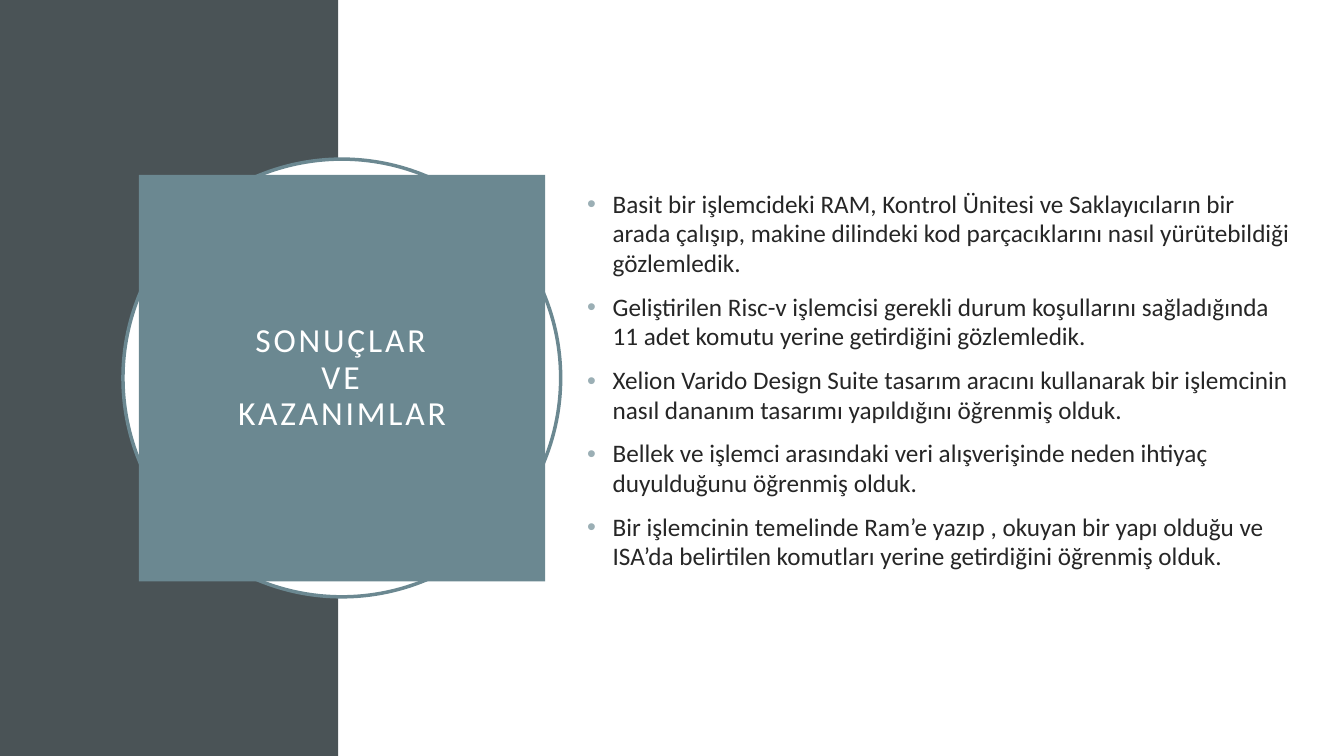
from dataclasses import dataclass
from typing import Optional

from lxml.etree import SubElement
from pptx import Presentation
from pptx.dml.color import RGBColor
from pptx.enum.shapes import MSO_SHAPE as Preset
from pptx.enum.text import MSO_ANCHOR as Anchor, PP_ALIGN as Align
from pptx.oxml.ns import qn
from pptx.shapes.autoshape import Shape
from pptx.slide import Slide
from pptx.util import Cm, Pt

SLATE = RGBColor(0x4A, 0x53, 0x56)
TEAL = RGBColor(0x6B, 0x88, 0x91)
BULLET_GREY = RGBColor(0x9B, 0xAF, 0xB5)
INK = RGBColor(0x26, 0x26, 0x26)
WHITE = RGBColor(0xFF, 0xFF, 0xFF)
FONT = "Calibri"

SLIDE_WIDTH, SLIDE_HEIGHT = 33.87, 19.05
BAND_WIDTH = 8.53
BULLET_INDENT = Cm(0.64)

TITLE = "SONUÇLAR\vVE\vKAZANIMLAR"
OUTCOMES = [
    "Basit bir işlemcideki RAM, Kontrol Ünitesi ve Saklayıcıların bir arada çalışıp, "
    "makine dilindeki kod parçacıklarını nasıl yürütebildiği gözlemledik.",
    "Geliştirilen Risc-v işlemcisi gerekli durum koşullarını sağladığında 11 adet "
    "komutu yerine getirdiğini gözlemledik.",
    "Xelion Varido Design Suite tasarım aracını kullanarak bir işlemcinin nasıl "
    "dananım tasarımı yapıldığını öğrenmiş olduk.",
    "Bellek ve işlemci arasındaki veri alışverişinde neden ihtiyaç duyulduğunu "
    "öğrenmiş olduk.",
    "Bir işlemcinin temelinde Ram’e yazıp , okuyan bir yapı olduğu ve ISA’da "
    "belirtilen komutları yerine getirdiğini öğrenmiş olduk.",
]


@dataclass(frozen=True)
class Panel:
    """A filled shape; lengths are in centimetres."""
    preset: Preset
    left: float
    top: float
    width: float
    height: float
    fill: RGBColor
    outline: Optional[RGBColor] = None


BACKDROP = [
    Panel(Preset.RECTANGLE, 0, 0, BAND_WIDTH, SLIDE_HEIGHT, SLATE),
    Panel(Preset.RECTANGLE, BAND_WIDTH, 0, SLIDE_WIDTH - BAND_WIDTH, SLIDE_HEIGHT, WHITE),
    Panel(Preset.OVAL, 3.1, 4.01, 11.03, 11.03, WHITE, TEAL),
]
TITLE_PANEL = Panel(Preset.RECTANGLE, 3.5, 4.41, 10.24, 10.24, TEAL)


def add_panel(slide: Slide, panel: Panel) -> Shape:
    shape = slide.shapes.add_shape(
        panel.preset, Cm(panel.left), Cm(panel.top), Cm(panel.width), Cm(panel.height))
    shape.shadow.inherit = False
    shape.fill.solid()
    shape.fill.fore_color.rgb = panel.fill
    if panel.outline is None:
        shape.line.fill.background()
    else:
        shape.line.color.rgb = panel.outline
        shape.line.width = Pt(2.5)
    return shape


def style_font(paragraph, size: int, color: RGBColor) -> None:
    font = paragraph.font
    font.name, font.size = FONT, Pt(size)
    font.color.rgb = color


def add_bullet(paragraph) -> None:
    properties = paragraph._p.get_or_add_pPr()
    properties.set("marL", str(BULLET_INDENT))
    properties.set("indent", str(-BULLET_INDENT))
    color = SubElement(properties, qn("a:buClr"))
    SubElement(color, qn("a:srgbClr"), val=str(BULLET_GREY))
    SubElement(properties, qn("a:buFont"), typeface="Arial")
    SubElement(properties, qn("a:buChar"), char="•")


def add_title(slide: Slide) -> None:
    frame = add_panel(slide, TITLE_PANEL).text_frame
    frame.word_wrap = True
    frame.vertical_anchor = Anchor.MIDDLE
    paragraph = frame.paragraphs[0]
    paragraph.text = TITLE
    paragraph.alignment = Align.CENTER
    paragraph.line_spacing = 0.9
    style_font(paragraph, 24, WHITE)
    for run in paragraph.runs:
        run._r.get_or_add_rPr().set("spc", "200")


def add_outcomes(slide: Slide) -> None:
    box = slide.shapes.add_textbox(Cm(14.8), Cm(4.78), Cm(17.92), Cm(9.85))
    frame = box.text_frame
    frame.word_wrap = True
    frame.margin_left = frame.margin_right = frame.margin_top = frame.margin_bottom = 0
    for index, outcome in enumerate(OUTCOMES):
        paragraph = frame.add_paragraph() if index else frame.paragraphs[0]
        paragraph.text = outcome
        add_bullet(paragraph)
        paragraph.line_spacing = 0.98
        if index:
            paragraph.space_before = Pt(10)
        style_font(paragraph, 18, INK)


def main() -> None:
    presentation = Presentation()
    presentation.slide_width = Cm(SLIDE_WIDTH)
    presentation.slide_height = Cm(SLIDE_HEIGHT)
    slide = presentation.slides.add_slide(presentation.slide_layouts[6])
    for panel in BACKDROP:
        add_panel(slide, panel)
    add_title(slide)
    add_outcomes(slide)
    presentation.save("out.pptx")


if __name__ == "__main__":
    main()
